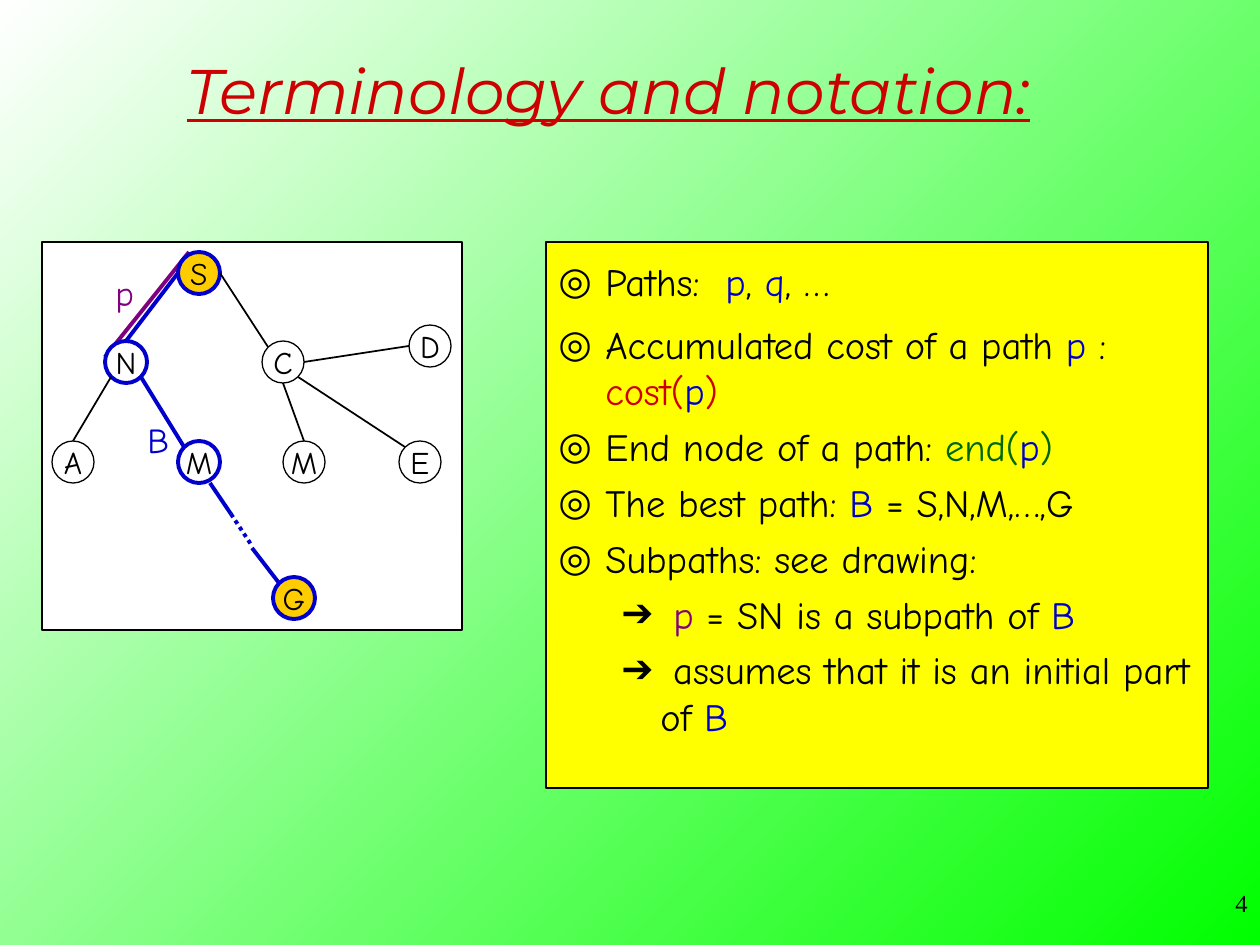
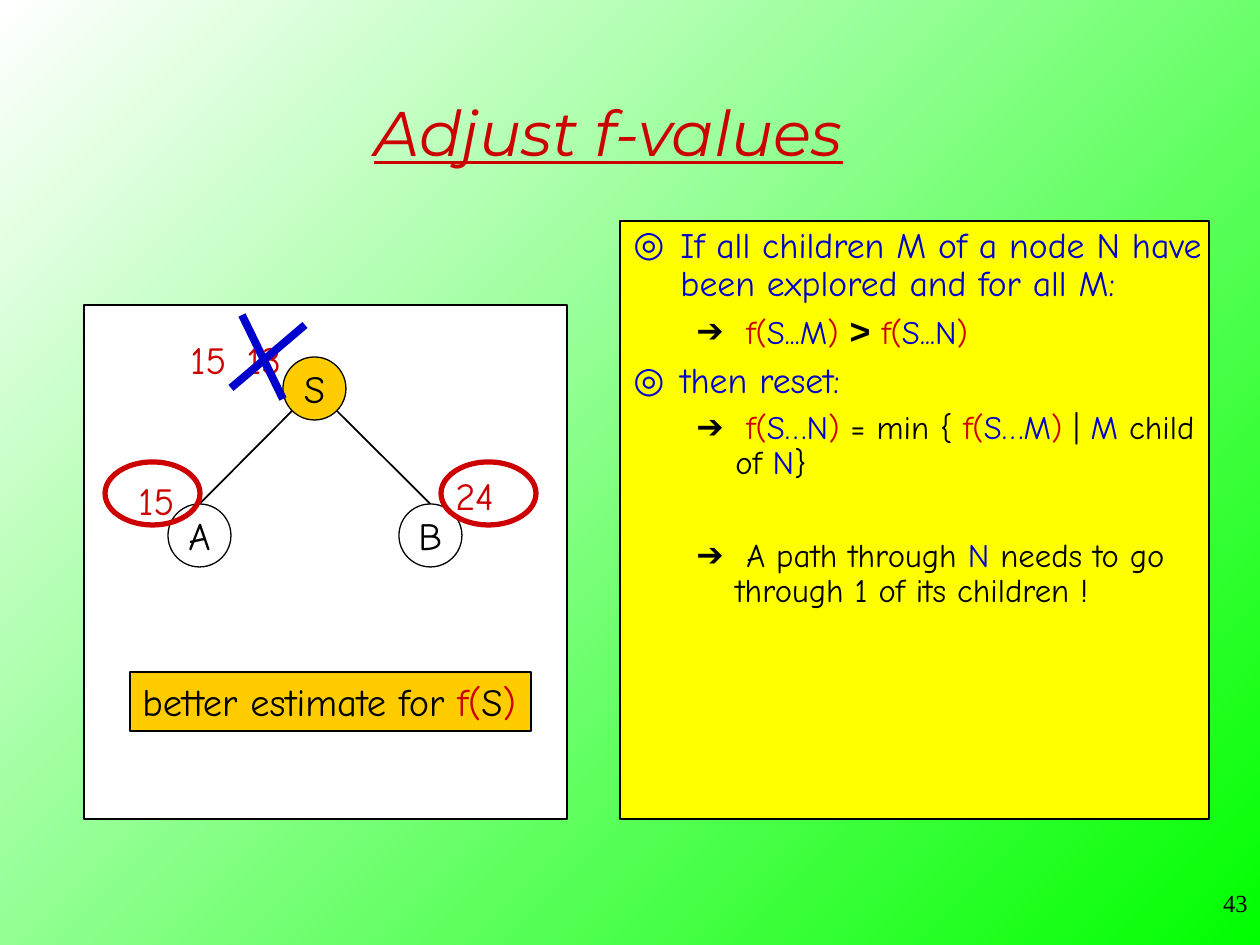
import math
from dataclasses import dataclass

import lxml.etree
import pptx
import pptx.dml.color
import pptx.enum.dml
import pptx.enum.shapes
import pptx.enum.text
import pptx.oxml.ns
import pptx.util

PX = 914400 / 126
SHAPE = pptx.enum.shapes.MSO_SHAPE
ALIGN = pptx.enum.text.PP_ALIGN
ANCHOR = pptx.enum.text.MSO_ANCHOR


@dataclass(frozen=True)
class Theme:
    ink: str = "000000"
    white: str = "FFFFFF"
    red: str = "CC0000"
    blue: str = "0000CC"
    green: str = "006600"
    purple: str = "800080"
    yellow: str = "FFFF00"
    gold: str = "FFCC00"
    backdrop: str = "00FF00"
    hand: str = "Comic Neue"
    heading: str = "Montserrat"
    sans: str = "Arial"
    serif: str = "Times New Roman"
    title_size: float = 36
    large: float = 22
    label: float = 20
    node: float = 18
    point: float = 20.4
    detail: float = 18.7
    number: float = 14
    thin: float = 0.75
    edge: float = 1
    bold_edge: float = 2.25
    ring: float = 3
    cross: float = 4.5


THEME = Theme()


def call(name, argument, color=THEME.red, inner=THEME.blue):
    """Spans for name(argument), with the argument in its own colour."""
    return [(f"{name}(", color), (argument, inner), (")", color)]


P = ("p", THEME.blue)
B = ("B", THEME.blue)
N = ("N", THEME.blue)

# A point is (level, spans); a plain string is a span in the default colour.
PATH_POINT = [(0, ["Paths:  ", P, ", ", ("q", THEME.blue), ", …"])]
NOTATION_POINTS = [
    (0, ["Accumulated cost of a path ", P, " : ", *call("cost", "p")]),
    (0, ["End node of a path: ", *call("end", "p", THEME.green)]),
    (0, ["The best path: ", B, " = S,N,M,…,G"]),
    (0, ["Subpaths: see drawing:"]),
    (1, [" ", ("p", THEME.purple), " = SN is a subpath of ", B]),
    (1, [" assumes that it is an initial part of ", B]),
]
GREATER = (">", THEME.ink, {"font": THEME.sans, "size": THEME.point, "bold": True})
ADJUST_POINTS = [
    (0, [("If all children M of a node N have been explored and for all M:", THEME.blue)]),
    (1, [" ", *call("f", "S...M"), " ", GREATER, " ", *call("f", "S...N")]),
    (0, [("then reset:", THEME.blue)]),
    (1, [" ", *call("f", "S…N"), " = min { ", *call("f", "S…M"), " | ",
         ("M", THEME.blue), " child of ", N, "}"]),
    (1, [" A path through ", N, " needs to go through 1 of its children !"]),
]

# name: (label, left, top, fill, on the best path)
SEARCH_NODES = {
    "A": ("A", 52, 441, THEME.white, False),
    "M2": ("M", 283, 441, THEME.white, False),
    "E": ("E", 399, 441, THEME.white, False),
    "D": ("D", 409, 325, THEME.white, False),
    "S": ("S", 178, 252, THEME.gold, True),
    "N": ("N", 105, 341, THEME.white, True),
    "C": ("C", 262, 341, THEME.white, False),
    "M": ("M", 178, 441, THEME.white, True),
    "G": ("G", 273, 577, THEME.gold, True),
}
# (from node, side, to node, side, on the best path)
SEARCH_EDGES = [
    ("S", "W", "N", "N", True),
    ("N", "SE", "M", "NW", True),
    ("N", "SW", "A", "N", False),
    ("S", "E", "C", "NW", False),
    ("C", "S", "M2", "N", False),
    ("C", "SE", "E", "NW", False),
    ("C", "E", "D", "W", False),
]
# Remaining best path from M towards G: (start, end, dotted)
BEST_PATH_TAIL = [
    ((210, 483), (231, 514), False),
    ((231, 514), (252, 546), True),
    ((252, 548), (279, 583), False),
]
VALUE_NODES = {
    "S": ("S", 283, 357, THEME.gold, False),
    "A": ("A", 168, 504, THEME.white, False),
    "B": ("B", 399, 504, THEME.white, False),
}
VALUE_EDGES = [("S", "SW", "A", "N", False), ("S", "SE", "B", "N", False)]
VALUES = [("13", 234, 330), ("15", 126, 471), ("24", 443, 466), ("15", 178, 330)]
CROSS = [((242, 315), (283, 399)), ((305, 325), (231, 388))]
RING_LEFTS = (105, 441)

SIDES = {name: math.radians(45 * turn)
         for turn, name in enumerate(("E", "SE", "S", "SW", "W", "NW", "N", "NE"))}
# level: (bullet, left margin, hanging indent)
BULLETS = (("◎", 47, -47), ("➔", 102, -39))


def emu(*lengths):
    return [round(length * PX) for length in lengths]


def rgb(color):
    return pptx.dml.color.RGBColor.from_string(color)


def add_spans(para, spans, size, font=THEME.hand):
    for item in spans:
        text, color, *extra = (item, THEME.ink) if isinstance(item, str) else item
        changes = extra[0] if extra else {}
        span = para.add_run()
        span.text = text
        span.font.name = changes.get("font", font)
        span.font.size = pptx.util.Pt(changes.get("size", size))
        span.font.bold = changes.get("bold", False)
        span.font.color.rgb = rgb(color)


def write(box, spans, size, font=THEME.hand, align=ALIGN.LEFT, anchor=ANCHOR.TOP, wrap=False):
    box.text_frame.word_wrap = wrap
    box.text_frame.vertical_anchor = anchor
    para = box.text_frame.paragraphs[0]
    para.alignment = align
    add_spans(para, spans, size, font)


def add_label(page, place, spans, size, **layout):
    write(page.shapes.add_textbox(*emu(*place)), spans, size, **layout)


def add_figure(page, kind, place, fill=None, line=THEME.ink, weight=THEME.thin):
    figure = page.shapes.add_shape(kind, *emu(*place))
    figure.shadow.inherit = False
    if fill:
        figure.fill.solid()
        figure.fill.fore_color.rgb = rgb(fill)
    else:
        figure.fill.background()
    figure.line.color.rgb = rgb(line)
    figure.line.width = pptx.util.Pt(weight)
    return figure


def add_line(page, start, end, color=THEME.ink, weight=THEME.edge, dotted=False):
    line = page.shapes.add_connector(
        pptx.enum.shapes.MSO_CONNECTOR.STRAIGHT, *emu(*start, *end))
    line.line.color.rgb = rgb(color)
    line.line.width = pptx.util.Pt(weight)
    if dotted:
        line.line.dash_style = pptx.enum.dml.MSO_LINE.ROUND_DOT
    lxml.etree.SubElement(line._element.spPr, pptx.oxml.ns.qn("a:effectLst"))


def add_tree(page, nodes, edges, diameter, size):
    """Draw round nodes, then edges between the compass points of the nodes."""
    def rim(name, side):
        _, left, top, *_ = nodes[name]
        radius = diameter / 2
        return (left + radius * (1 + math.cos(SIDES[side])),
                top + radius * (1 + math.sin(SIDES[side])))

    for label, left, top, fill, best in nodes.values():
        style = {"line": THEME.blue, "weight": THEME.bold_edge} if best else {}
        node = add_figure(page, SHAPE.OVAL, (left, top, diameter, diameter), fill, **style)
        write(node, [label], size, align=ALIGN.CENTER, anchor=ANCHOR.MIDDLE)
    for start, start_side, end, end_side, best in edges:
        style = {"color": THEME.blue, "weight": THEME.bold_edge} if best else {}
        add_line(page, rim(start, start_side), rim(end, end_side), **style)


def add_points(page, place, points, sizes, bullet_color=THEME.ink,
               gaps=(5.5, 5.5), spacing=None, last_gap=None):
    """Bulleted text; sizes and gaps are given per level."""
    frame = page.shapes.add_textbox(*emu(*place)).text_frame
    frame.word_wrap = True
    for index, (level, spans) in enumerate(points):
        para = frame.add_paragraph() if index else frame.paragraphs[0]
        sign, margin, indent = BULLETS[level]
        para.level = level
        properties = para._p.get_or_add_pPr()
        properties.set("marL", str(emu(margin)[0]))
        properties.set("indent", str(emu(indent)[0]))
        tint = lxml.etree.SubElement(properties, pptx.oxml.ns.qn("a:buClr"))
        lxml.etree.SubElement(tint, pptx.oxml.ns.qn("a:srgbClr"),
                              val=THEME.ink if level else bullet_color)
        lxml.etree.SubElement(properties, pptx.oxml.ns.qn("a:buFont"), typeface=THEME.sans)
        lxml.etree.SubElement(properties, pptx.oxml.ns.qn("a:buChar"), char=sign)
        if spacing:
            para.line_spacing = spacing
        if index:
            is_last = index == len(points) - 1
            gap = last_gap if last_gap and is_last else gaps[level]
            para.space_before = pptx.util.Pt(gap)
        add_spans(para, spans, sizes[level])


def paint_background(deck):
    fill = deck.slide_master.background.fill
    fill.gradient()
    fill.gradient_angle = 135
    for stop, color in zip(fill.gradient_stops, (THEME.backdrop, THEME.white)):
        stop.color.rgb = rgb(color)


def add_page(deck, title, title_top, number):
    page = deck.slides.add_slide(deck.slide_layouts[5])
    box = page.shapes.title
    box.left, box.top, box.width, box.height = emu(73, title_top, 1071, 158)
    box.text_frame.auto_size = pptx.enum.text.MSO_AUTO_SIZE.NONE
    write(box, [(title, THEME.red)], THEME.title_size, font=THEME.heading,
          align=ALIGN.CENTER, anchor=ANCHOR.MIDDLE, wrap=True)
    font = box.text_frame.paragraphs[0].runs[0].font
    font.italic = font.underline = True
    add_label(page, (998, 882, 262, 63), [number], THEME.number,
              font=THEME.serif, align=ALIGN.RIGHT, wrap=True)
    return page


def add_terminology(deck):
    page = add_page(deck, "Terminology and notation:", 10, "4")
    add_figure(page, SHAPE.RECTANGLE, (546, 242, 662, 546), THEME.yellow)
    sizes = (THEME.large, THEME.large)
    add_points(page, (546, 252, 662, 63), PATH_POINT, sizes)
    add_points(page, (546, 315, 662, 431), NOTATION_POINTS, sizes)

    add_figure(page, SHAPE.RECTANGLE, (42, 242, 420, 388), THEME.white)
    add_line(page, (189, 252), (105, 357), THEME.purple, THEME.bold_edge)
    add_tree(page, SEARCH_NODES, SEARCH_EDGES, 42, THEME.node)
    for start, end, dotted in BEST_PATH_TAIL:
        add_line(page, start, end, THEME.blue, THEME.bold_edge, dotted)
    add_label(page, (103, 265, 44, 55), [("p", THEME.purple)], THEME.label)
    add_label(page, (135, 412, 46, 55), [B], THEME.label)


def add_adjustment(deck):
    page = add_page(deck, "Adjust f-values", 52, "43")
    add_figure(page, SHAPE.RECTANGLE, (84, 305, 483, 514), THEME.white)
    add_tree(page, VALUE_NODES, VALUE_EDGES, 63, THEME.large)
    for value, left, top in VALUES:
        add_label(page, (left, top, 76, 59), [(value, THEME.red)], THEME.large, wrap=True)

    add_figure(page, SHAPE.RECTANGLE, (620, 221, 589, 598), THEME.yellow)
    add_points(page, (621, 221, 598, 472), ADJUST_POINTS, (THEME.point, THEME.detail),
               bullet_color=THEME.blue, gaps=(6, 5.5), spacing=0.9, last_gap=32.5)

    for left in RING_LEFTS:
        add_figure(page, SHAPE.OVAL, (left, 462, 95, 63), line=THEME.red, weight=THEME.ring)
    estimate = add_figure(page, SHAPE.RECTANGLE, (130, 672, 401, 59), THEME.gold)
    write(estimate, ["better estimate for ", *call("f", "S", inner=THEME.ink)], THEME.large)
    for start, end in CROSS:
        add_line(page, start, end, THEME.blue, THEME.cross)


def main():
    deck = pptx.Presentation()
    deck.slide_width, deck.slide_height = emu(1260, 945)
    paint_background(deck)
    add_terminology(deck)
    add_adjustment(deck)
    deck.save("out.pptx")


if __name__ == "__main__":
    main()
